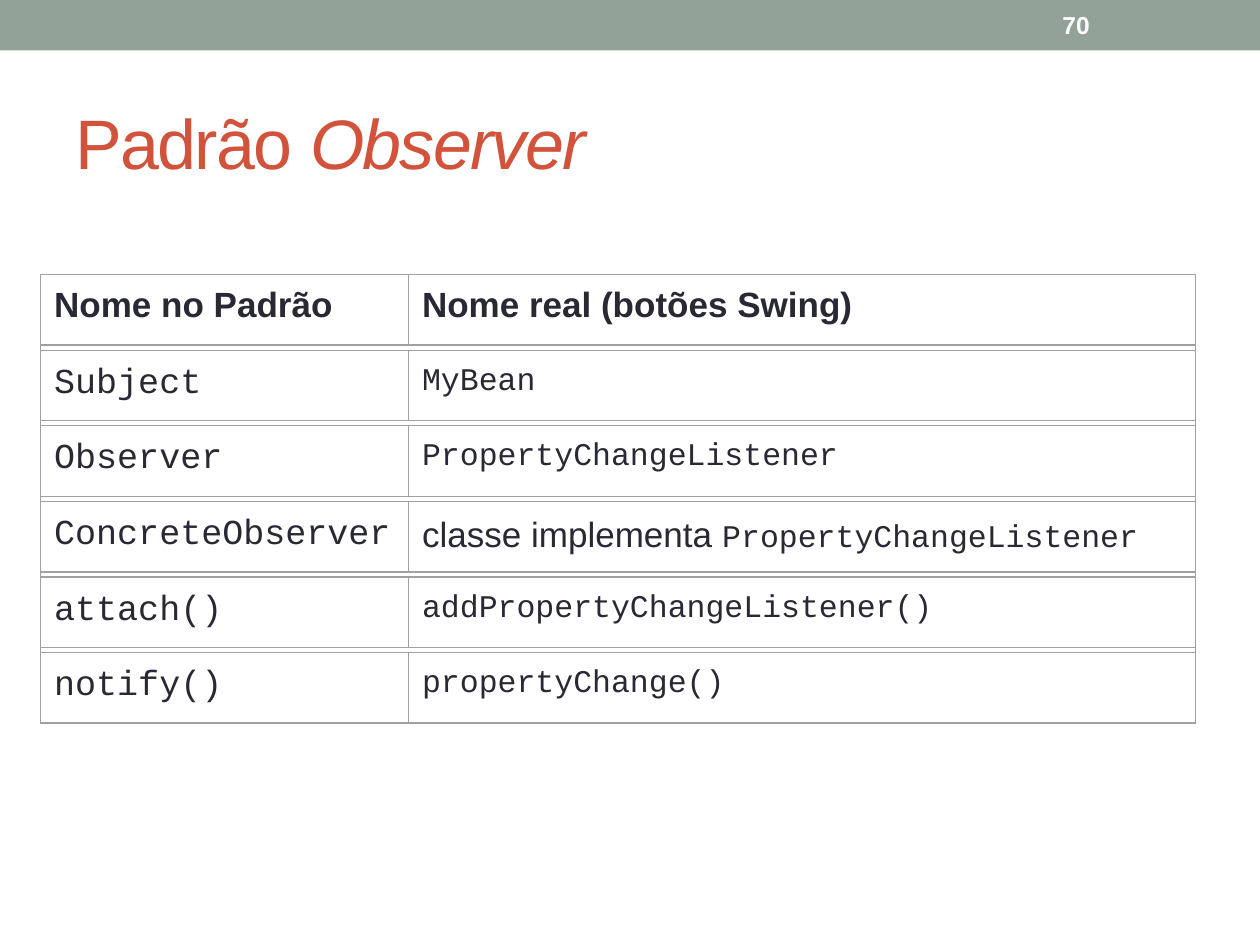
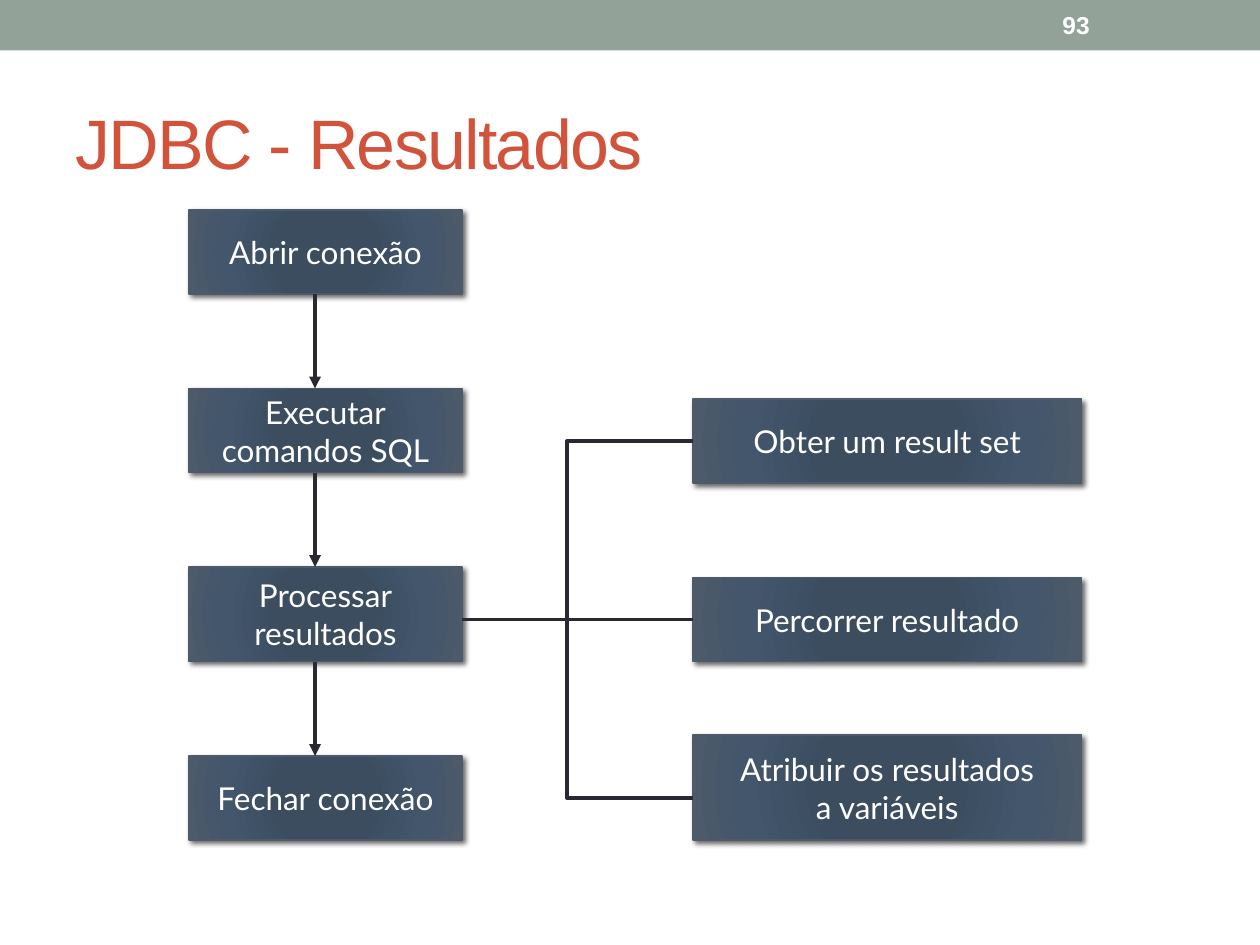
from itertools import pairwise

from lxml import etree
from pptx import Presentation
from pptx.dml.color import RGBColor
from pptx.enum.shapes import MSO_CONNECTOR, MSO_SHAPE
from pptx.enum.text import MSO_ANCHOR, MSO_AUTO_SIZE, PP_ALIGN
from pptx.oxml import parse_xml
from pptx.oxml.ns import qn
from pptx.util import Inches, Pt

RECTANGLE = MSO_SHAPE.RECTANGLE
STRAIGHT = MSO_CONNECTOR.STRAIGHT
MIDDLE = MSO_ANCHOR.MIDDLE
NO_AUTOFIT = MSO_AUTO_SIZE.NONE
LEFT, CENTER = PP_ALIGN.LEFT, PP_ALIGN.CENTER
LEFT_SIDE = 1

GRID_COLUMNS = 120
TITLE_ONLY_LAYOUT = 5
NAMESPACE = 'xmlns:a="http://schemas.openxmlformats.org/drawingml/2006/main"'
SANS, MONO, BOX_FONT = "Arial", "Courier New", "Lato"

COLORS = {
    "band": "93A299",
    "title": "D2533C",
    "ink": "292934",
    "white": "FFFFFF",
    "border": "A0A0A0",
    "box_line": "4C5A6A",
    "shadow": "000000",
}
BOX_GRADIENT = {0: "3B4D61", 34: "3C4D60", 70: "43566B", 100: "4C5A6A"}

CODE = {"font": MONO, "size": 20}
SMALL_CODE = {"font": MONO, "size": 18}
HEADER = {"bold": True}
NAME_ROWS = [
    [("Nome no Padrão", HEADER), ("Nome real (botões Swing)", HEADER)],
    [("Subject", CODE), ("MyBean", SMALL_CODE)],
    [("Observer", CODE), ("PropertyChangeListener", SMALL_CODE)],
    [
        ("ConcreteObserver", CODE),
        ([[("classe implementa ", {}), ("PropertyChangeListener", SMALL_CODE)]], {}),
    ],
    [("attach()", CODE), ("addPropertyChangeListener()", SMALL_CODE)],
    [("notify()", CODE), ("propertyChange()", SMALL_CODE)],
]

STEPS = [
    ("Abrir conexão", 20, 8),
    ("Executar\ncomandos SQL", 37, 8),
    ("Processar\nresultados", 54, 9),
    ("Fechar conexão", 72, 8),
]
DETAILS = [
    ("Obter um result set", 38, 8),
    ("Percorrer resultado", 55, 8),
    ("Atribuir os resultados\na variáveis", 70, 10),
]


def rgb(name):
    return RGBColor.from_string(COLORS[name])


def write_text(text_frame, text, **text_format):
    lines = text
    if isinstance(text, str):
        lines = [[(line, {})] for line in text.split("\n")]
    for index, line in enumerate(lines):
        paragraph = text_frame.add_paragraph() if index else text_frame.paragraphs[0]
        paragraph.alignment = text_format.get("align", LEFT)
        for words, changes in line:
            style = {"font": SANS, "size": 20, "color": "ink"} | text_format | changes
            run = paragraph.add_run()
            run.text = words
            run.font.name = style["font"]
            run.font.size = Pt(style["size"])
            run.font.color.rgb = rgb(style["color"])
            run.font.bold = style.get("bold", False)
            run.font.italic = style.get("italic", False)
            if "spacing" in style:
                run.font._element.set("spc", str(style["spacing"] * 100))


class Deck:
    def __init__(self):
        self.presentation = Presentation()
        self.presentation.slide_width = Inches(10)
        self.presentation.slide_height = Inches(7.5)
        self.unit = self.presentation.slide_width / GRID_COLUMNS
        self.layout = self.presentation.slide_layouts[TITLE_ONLY_LAYOUT]
        title = self.layout.placeholders[0]
        title.left, title.top, title.width, title.height = self.lengths(6, 7, 108, 13)
        title.text_frame.vertical_anchor = MIDDLE
        self.slide = None

    def lengths(self, *units):
        return [round(value * self.unit) for value in units]

    def new_slide(self, title, number):
        self.slide = self.presentation.slides.add_slide(self.layout)
        band = self.rectangle(0, 0, GRID_COLUMNS, 4.8, fill="band")
        self.slide.shapes.element.insert(2, band.element)
        title_frame = self.slide.shapes.title.text_frame
        title_frame.auto_size = NO_AUTOFIT
        write_text(title_frame, title, size=40, color="title", spacing=-1)
        number_box = self.slide.shapes.add_textbox(*self.lengths(100, 0.24, 14, 4.32))
        number_box.text_frame.word_wrap = True
        number_box.text_frame.vertical_anchor = MIDDLE
        write_text(number_box.text_frame, number, size=14, color="white", bold=True)

    def rectangle(self, left, top, width, height, fill=None, line=None, line_width=0):
        shape = self.slide.shapes.add_shape(
            RECTANGLE, *self.lengths(left, top, width, height)
        )
        shape.shadow.inherit = False
        if fill:
            shape.fill.solid()
            shape.fill.fore_color.rgb = rgb(fill)
        else:
            shape.fill.background()
        if line:
            shape.line.color.rgb = rgb(line)
            shape.line.width = Pt(line_width)
        else:
            shape.line.fill.background()
        return shape

    def box(self, text, left, top, width, height):
        shape = self.rectangle(left, top, width, height, "box_line", "box_line", 0.75)
        stops = "".join(
            f'<a:gs pos="{position * 1000}"><a:srgbClr val="{color}"/></a:gs>'
            for position, color in BOX_GRADIENT.items()
        )
        gradient = parse_xml(
            f'<a:gradFill {NAMESPACE} rotWithShape="1"><a:gsLst>{stops}</a:gsLst>'
            '<a:path path="circle"><a:fillToRect l="100000" t="100000" '
            'r="100000" b="100000"/></a:path></a:gradFill>'
        )
        properties = shape.element.spPr
        properties.replace(properties.find(qn("a:solidFill")), gradient)
        properties.find(qn("a:effectLst")).append(
            parse_xml(
                f'<a:outerShdw {NAMESPACE} blurRad="{Pt(3)}" dist="{Pt(2)}" '
                f'dir="2700000" rotWithShape="0"><a:srgbClr val="{COLORS["shadow"]}">'
                '<a:alpha val="60000"/></a:srgbClr></a:outerShdw>'
            )
        )
        shape.text_frame.word_wrap = False
        shape.text_frame.vertical_anchor = MIDDLE
        write_text(
            shape.text_frame, text, font=BOX_FONT, size=18, color="white", align=CENTER
        )
        return shape

    def connector(self, start, end, arrow=False):
        line = self.slide.shapes.add_connector(STRAIGHT, *self.lengths(*start, *end))
        line.line.color.rgb = rgb("ink")
        line.line.width = Pt(2.25)
        if arrow:
            etree.SubElement(line.line._ln, qn("a:tailEnd"), type="triangle")
        etree.SubElement(line.element.spPr, qn("a:effectLst"))
        return line

    def open_path(self, start, *points):
        builder = self.slide.shapes.build_freeform(*self.lengths(*start))
        builder.add_line_segments([self.lengths(*point) for point in points], close=False)
        shape = builder.convert_to_shape()
        shape.shadow.inherit = False
        shape.fill.background()
        shape.line.color.rgb = rgb("ink")
        shape.line.width = Pt(2.25)

    def table(self, rows, left, top, column_widths, row_height, gap):
        width = sum(column_widths)
        height = len(rows) * row_height - gap
        table = self.slide.shapes.add_table(
            len(rows), len(column_widths), *self.lengths(left, top, width, height)
        ).table
        table.horz_banding = False
        for column, column_width in zip(table.columns, self.lengths(*column_widths)):
            column.width = column_width
        for index, row in enumerate(rows):
            last = index == len(rows) - 1
            table.rows[index].height = self.lengths(row_height - gap * last)[0]
            frame_left = left
            for column_index, (text, text_format) in enumerate(row):
                cell = table.cell(index, column_index)
                cell.margin_top = Inches(0.11 if index else 0.09)
                self.table_cell(cell, text, text_format)
                frame_width = column_widths[column_index]
                frame_top = top + index * row_height
                self.rectangle(
                    frame_left, frame_top, frame_width, row_height - gap, line="border"
                )
                frame_left += frame_width
        self.rectangle(left, top, width, height, line="border", line_width=0.75)

    def table_cell(self, cell, text, text_format):
        cell.margin_left, cell.margin_right = Inches(0.11), Inches(0.05)
        cell.margin_bottom = Inches(0.05)
        cell.fill.background()
        properties = cell._tc.get_or_add_tcPr()
        for index, side in enumerate("LRTB"):
            border = parse_xml(f"<a:ln{side} {NAMESPACE}><a:noFill/></a:ln{side}>")
            properties.insert(index, border)
        write_text(cell.text_frame, text, **text_format)


def build_observer_slide(deck):
    deck.new_slide([[("Padrão ", {}), ("Observer", {"italic": True})]], "70")
    deck.table(NAME_ROWS, 3.84, 26.16, (35.04, 75), row_height=7.2, gap=0.48)


def build_results_slide(deck):
    step_left, step_width, arrow_column = 18, 26, 30
    detail_left, detail_width, branch_column = 66, 37, 54
    deck.new_slide("JDBC - Resultados", "93")
    for text, top, height in STEPS:
        deck.box(text, step_left, top, step_width, height)
    for (_, top, height), (_, next_top, _) in pairwise(STEPS):
        deck.connector((arrow_column, top + height), (arrow_column, next_top), arrow=True)
    detail_boxes = [
        deck.box(text, detail_left, top, detail_width, height)
        for text, top, height in DETAILS
    ]
    first_row, trunk_row, _ = (top + height / 2 for _, top, height in DETAILS)
    trunk = deck.connector((step_left + step_width, trunk_row), (detail_left, trunk_row))
    trunk.end_connect(detail_boxes[1], LEFT_SIDE)
    for row in (first_row, 2 * trunk_row - first_row):
        deck.open_path((branch_column, trunk_row), (branch_column, row), (detail_left, row))


def main():
    deck = Deck()
    build_observer_slide(deck)
    build_results_slide(deck)
    deck.presentation.save("out.pptx")


if __name__ == "__main__":
    main()
